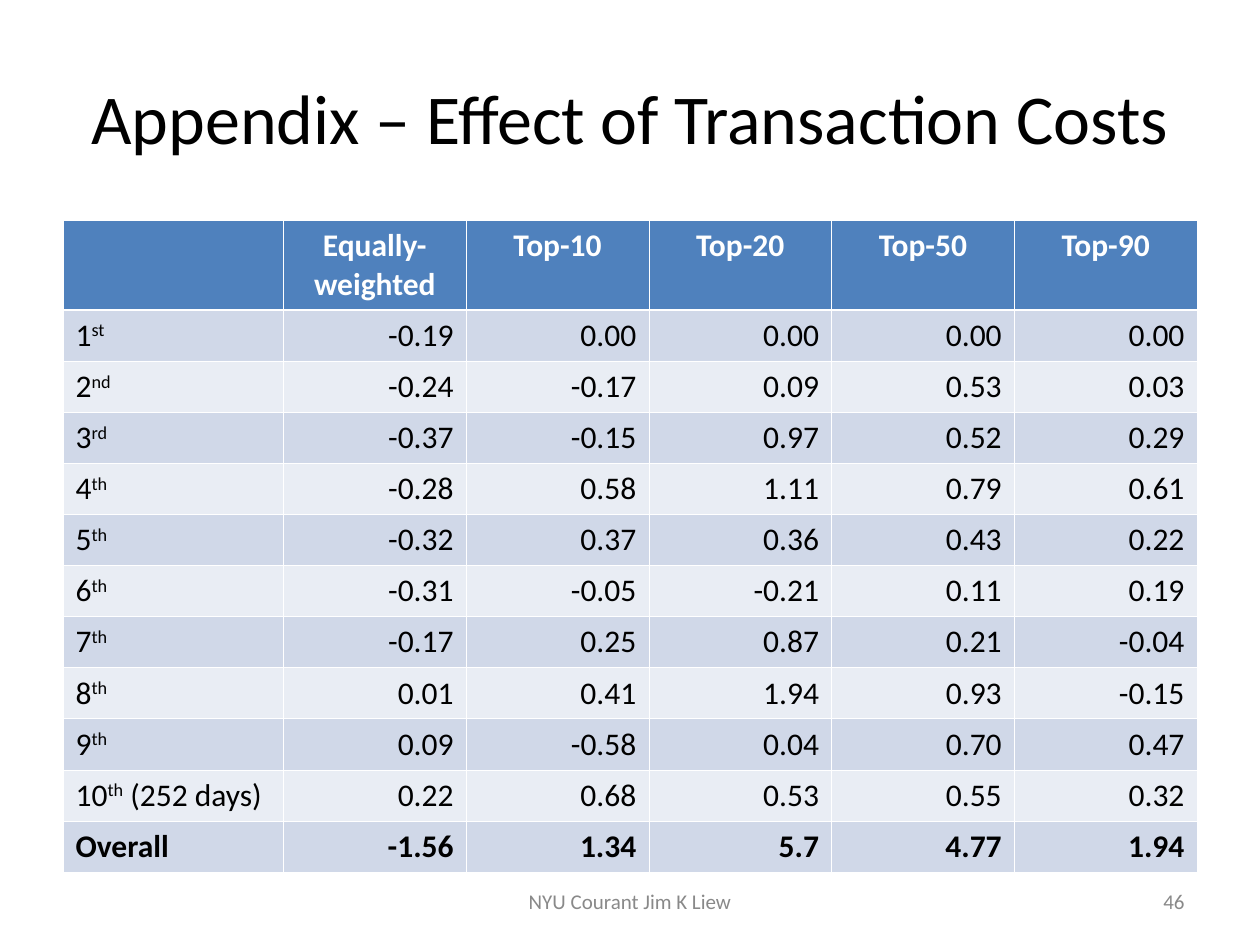
"""Build the transaction costs appendix slide."""
import pptx
import pptx.util
import pptx.oxml
import pptx.oxml.ns
import pptx.dml.color
import pptx.enum.text

Pt = pptx.util.Pt
ALIGN = pptx.enum.text.PP_ALIGN
MIDDLE = pptx.enum.text.MSO_ANCHOR.MIDDLE
COLORS = {
    "text": "000000",
    "white": "FFFFFF",
    "header": "4F81BD",
    "odd": "D0D8E8",
    "even": "E9EDF4",
    "footer": "898989",
}
HEADINGS = ["", "Equally-weighted", "Top-10", "Top-20", "Top-50", "Top-90"]
ROWS = [
    ("1^st", "-0.19", "0.00", "0.00", "0.00", "0.00"),
    ("2^nd", "-0.24", "-0.17", "0.09", "0.53", "0.03"),
    ("3^rd", "-0.37", "-0.15", "0.97", "0.52", "0.29"),
    ("4^th", "-0.28", "0.58", "1.11", "0.79", "0.61"),
    ("5^th", "-0.32", "0.37", "0.36", "0.43", "0.22"),
    ("6^th", "-0.31", "-0.05", "-0.21", "0.11", "0.19"),
    ("7^th", "-0.17", "0.25", "0.87", "0.21", "-0.04"),
    ("8^th", "0.01", "0.41", "1.94", "0.93", "-0.15"),
    ("9^th", "0.09", "-0.58", "0.04", "0.70", "0.47"),
    ("10^th^ (252 days)", "0.22", "0.68", "0.53", "0.55", "0.32"),
    ("Overall", "-1.56", "1.34", "5.7", "4.77", "1.94"),
]


def rgb(name):
    return pptx.dml.color.RGBColor.from_string(COLORS[name])


def write(tf, text, size=18, color="text", bold=False, align=ALIGN.LEFT):
    p = tf.paragraphs[0]
    p.alignment = align
    p.font.size = Pt(size)
    for i, part in enumerate(text.split("^")):
        r = p.add_run()
        r.text = part
        r.font.name = "Calibri"
        r.font.size = Pt(size)
        r.font.bold = bold
        r.font.color.rgb = rgb(color)
        if i % 2:
            r.font._element.set("baseline", "30000")


def place(sp, left, top, width, height):
    sp.left, sp.top, sp.width, sp.height = map(Pt, (left, top, width, height))


def add_title(s, text):
    sp = s.shapes.title
    place(sp, 36, 21.6, 648, 90)
    sp.text_frame.vertical_anchor = MIDDLE
    write(sp.text_frame, text, size=40, align=ALIGN.CENTER)


def add_footer(s, text, left, width, align):
    sp = s.shapes.add_textbox(Pt(left), Pt(500.5), Pt(width), Pt(28.75))
    tf = sp.text_frame
    tf.word_wrap = True
    tf.vertical_anchor = MIDDLE
    write(tf, text, size=12, color="footer", align=align)


def set_borders(cell, widths):
    tcPr = cell._tc.get_or_add_tcPr()
    for side, width in zip("LRTB", widths):
        tcPr.append(pptx.oxml.parse_xml(
            f'<a:ln{side} {pptx.oxml.ns.nsdecls("a")} w="{Pt(width)}"><a:solidFill>'
            f'<a:srgbClr val="{COLORS["white"]}"/></a:solidFill></a:ln{side}>'))


def fill_cell(cell, text, fill, widths, **fmt):
    set_borders(cell, widths)
    cell.fill.solid()
    cell.fill.fore_color.rgb = rgb(fill)
    write(cell.text_frame, text, **fmt)


def add_results(s, thin=0.45, thick=1.47):
    rows, cols = len(ROWS) + 1, len(HEADINGS)
    frame = s.shapes.add_table(rows, cols, Pt(36), Pt(126), Pt(648), Pt(371.6))
    table = frame.table
    for i, col in enumerate(table.columns):
        col.width = Pt(104.4 if i else 126)
    for i, row in enumerate(table.rows):
        row.height = Pt(29.2 if i else 50.4)
    for c, heading in enumerate(HEADINGS):
        fill_cell(table.cell(0, c), heading, "header", (thin, thin, thin, thick),
                  color="white", bold=True, align=ALIGN.CENTER)
    for r, values in enumerate(ROWS, 1):
        widths = (thin, thin, thick if r == 1 else thin, thin)
        for c, value in enumerate(values):
            fill_cell(table.cell(r, c), value, "odd" if r % 2 else "even", widths,
                      bold=r == len(ROWS), align=ALIGN.RIGHT if c else ALIGN.LEFT)


def main():
    prs = pptx.Presentation()
    prs.slide_width, prs.slide_height = Pt(720), Pt(540)
    s = prs.slides.add_slide(prs.slide_layouts[5])
    add_title(s, "Appendix – Effect of Transaction Costs")
    add_results(s)
    add_footer(s, "NYU Courant Jim K Liew", 246, 228, ALIGN.CENTER)
    add_footer(s, "46", 516, 168, ALIGN.RIGHT)
    prs.save("out.pptx")


if __name__ == "__main__":
    main()
